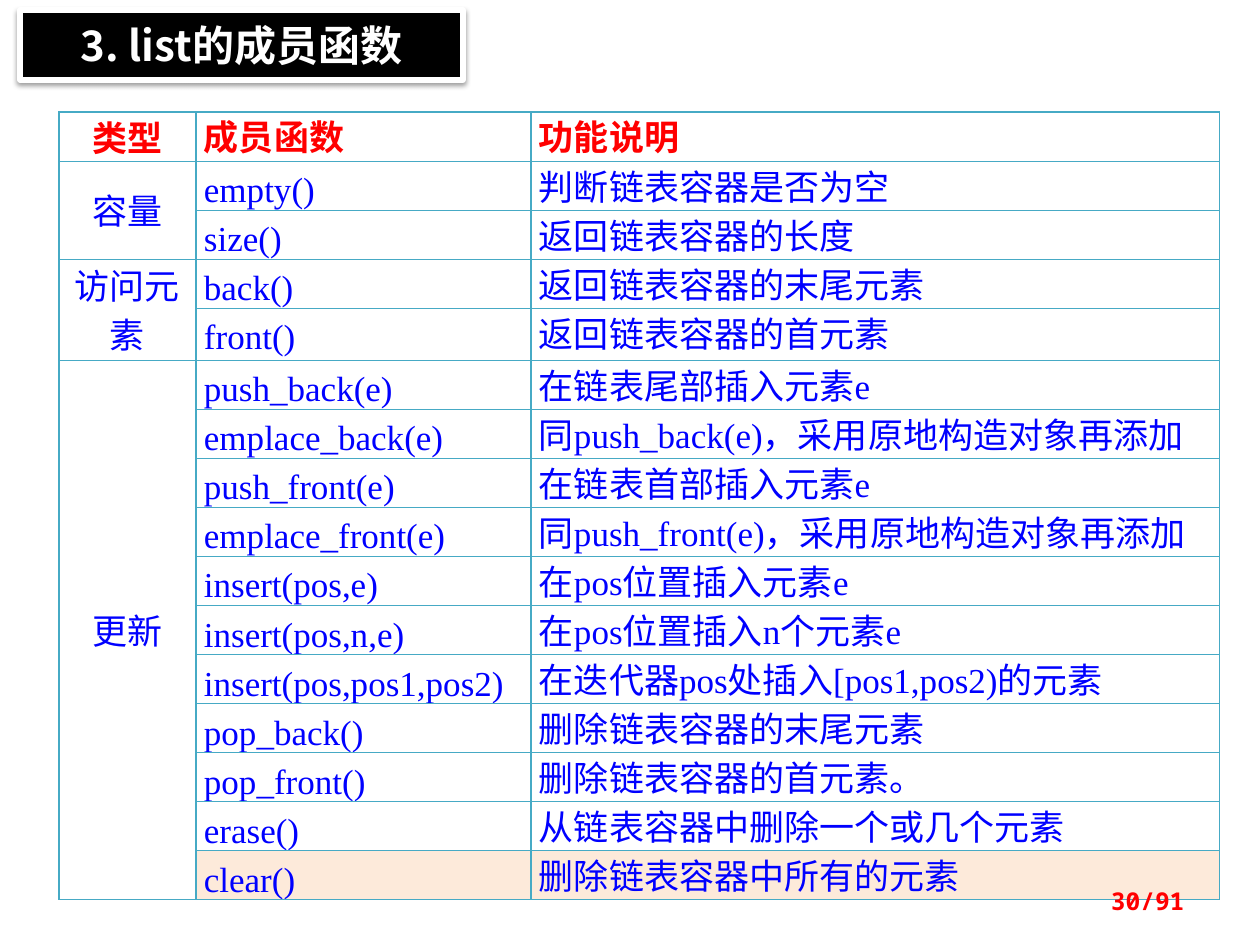
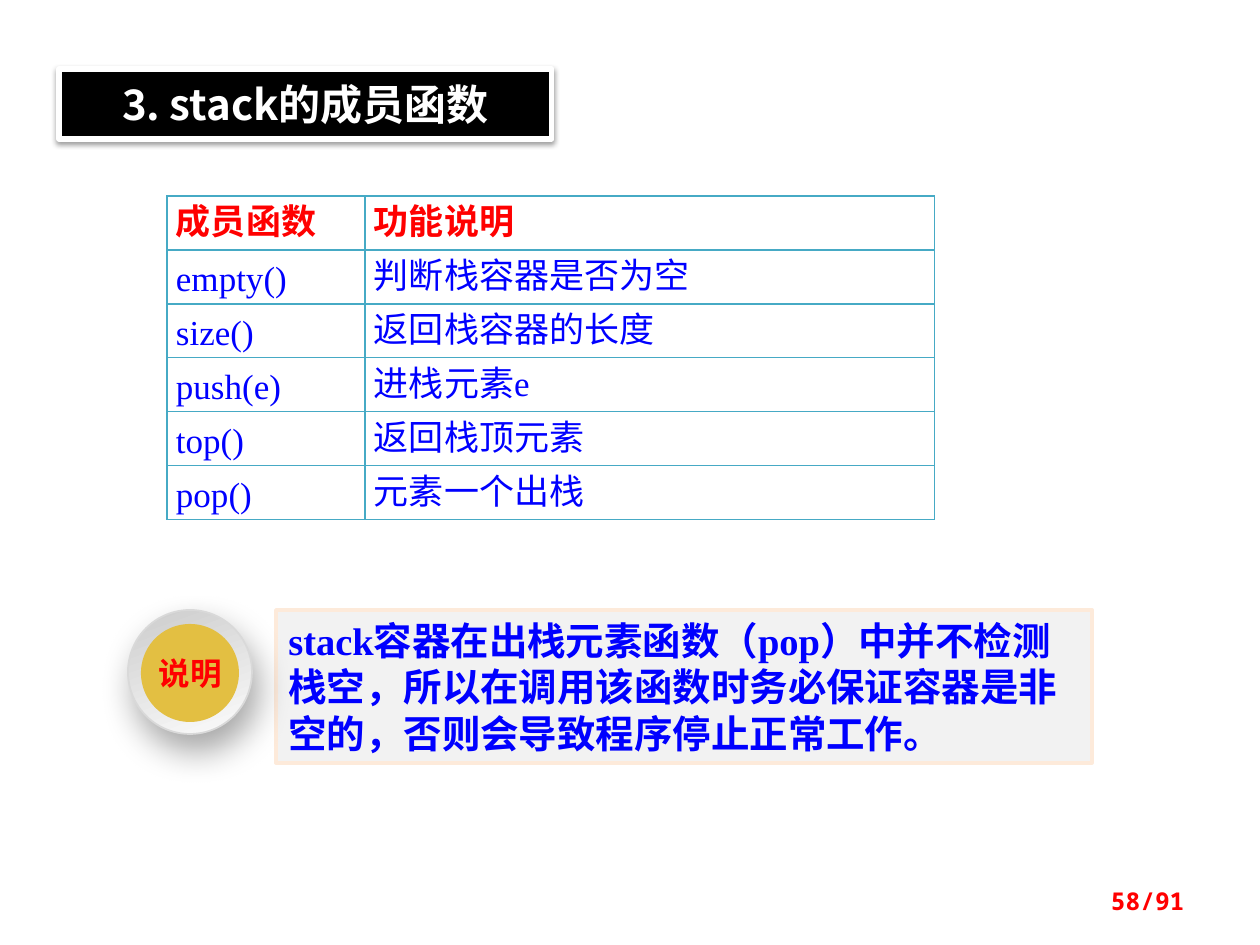
from lxml import etree
from pptx import Presentation
from pptx import util as u
from pptx.dml.color import RGBColor
from pptx.enum import shapes, text
from pptx.oxml.ns import qn

U = 7257  # EMU per px, 126 px to the inch
BLACK = RGBColor(0, 0, 0)
WHITE = RGBColor(255, 255, 255)
RED = RGBColor(255, 0, 0)
BLUE = RGBColor(0, 0, 255)
TEAL = RGBColor(0x46, 0xAA, 0xC5)
PEACH = RGBColor(0xFD, 0xEA, 0xDA)
PALE = RGBColor(0xF2, 0xF2, 0xF2)
GOLD = RGBColor(0xE3, 0xBF, 0x42)
SILVER = RGBColor(0xD9, 0xD9, 0xD9)
DARK = RGBColor(0xCC, 0xCC, 0xCC)
LIGHT = RGBColor(0xFC, 0xFC, 0xFC)
SANS, SERIF, MONO = "Noto Sans CJK SC", "Times New Roman", "Noto Sans Mono"
ALIGN, MID = text.PP_ALIGN, text.MSO_ANCHOR.MIDDLE
KIND = shapes.MSO_SHAPE


def write(frame, words, size, face, color, align, bold=True):
    para = frame.paragraphs[0]
    para.alignment = align
    run = para.add_run()
    run.text = words
    font = run.font
    font.size, font.name, font.bold = u.Pt(size), face, bold
    font.color.rgb = color
    etree.SubElement(run._r.rPr, qn("a:ea"), typeface=SANS)
    return para


def draw(home, kind, place, fill, line=None, width=0, shade=None):
    shape = home.add_shape(kind, *[n * U for n in place])
    if fill:
        shape.fill.solid()
        shape.fill.fore_color.rgb = fill
    if line:
        shape.line.color.rgb = line
        shape.line.width = u.Pt(width)
    else:
        shape.line.fill.background()
    shape.shadow.inherit = False
    if shade:
        blur, dist, angle, alpha = shade
        glow = etree.SubElement(
            shape._element.spPr.find(qn("a:effectLst")), qn("a:outerShdw"),
            blurRad=str(u.Pt(blur)), dist=str(u.Pt(dist)),
            dir=str(angle * 60000), algn="t", rotWithShape="0")
        tone = etree.SubElement(glow, qn("a:srgbClr"), val=str(BLACK))
        etree.SubElement(tone, qn("a:alpha"), val=str(alpha * 1000))
    return shape


# Table contents; an empty type continues the merged cell above
LIST = [
    ("类型", "成员函数", "功能说明"),
    ("容量", "empty()", "判断链表容器是否为空"),
    ("", "size()", "返回链表容器的长度"),
    ("访问元素", "back()", "返回链表容器的末尾元素"),
    ("", "front()", "返回链表容器的首元素"),
    ("更新", "push_back(e)", "在链表尾部插入元素e"),
    ("", "emplace_back(e)", "同push_back(e)，采用原地构造对象再添加"),
    ("", "push_front(e)", "在链表首部插入元素e"),
    ("", "emplace_front(e)", "同push_front(e)，采用原地构造对象再添加"),
    ("", "insert(pos,e)", "在pos位置插入元素e"),
    ("", "insert(pos,n,e)", "在pos位置插入n个元素e"),
    ("", "insert(pos,pos1,pos2)", "在迭代器pos处插入[pos1,pos2)的元素"),
    ("", "pop_back()", "删除链表容器的末尾元素"),
    ("", "pop_front()", "删除链表容器的首元素。"),
    ("", "erase()", "从链表容器中删除一个或几个元素"),
    ("", "clear()", "删除链表容器中所有的元素"),
]
STACK = [
    ("成员函数", "功能说明"),
    ("empty()", "判断栈容器是否为空"),
    ("size()", "返回栈容器的长度"),
    ("push(e)", "进栈元素e"),
    ("top()", "返回栈顶元素"),
    ("pop()", "元素一个出栈"),
]

# Title, title place, page, rows, table corner, column widths,
# row height, taller rows, side inset, merged spans, tinted cells
PAGES = [
    ("3. list的成员函数", (20, 10, 443, 70), "30/91", LIST, (59, 112),
     (137, 335, 689), 49, {4: 52}, 8, [(1, 2), (3, 4), (5, 15)],
     [(15, 1), (15, 2)]),
    ("3. stack的成员函数", (59, 69, 493, 70), "58/91", STACK, (167, 196),
     (198, 570), 54, {}, 9, [], []),
]

prs = Presentation()
prs.slide_width, prs.slide_height = u.Inches(10), u.Inches(7.5)

for (title, place, page, rows, corner, cols, high, tall, inset, spans,
     tints) in PAGES:
    slide = prs.slides.add_slide(prs.slide_layouts[6])

    # Title band
    band = draw(slide.shapes, KIND.RECTANGLE, place, BLACK, WHITE, 3,
                (3.1, 1.6, 90, 38))
    write(band.text_frame, title, 24, SANS, WHITE, ALIGN.CENTER)

    # Function table
    size = (sum(cols), high * len(rows))
    table = slide.shapes.add_table(
        len(rows), len(cols), *[n * U for n in corner + size]).table
    for c, wide in enumerate(cols):
        table.columns[c].width = wide * U
    for r, row in enumerate(rows):
        table.rows[r].height = tall.get(r, high) * U
        for c, words in enumerate(row):
            cell = table.cell(r, c)
            cell.margin_left = cell.margin_right = inset * U
            cell.margin_top = cell.margin_bottom = 0
            for side in ("a:lnL", "a:lnR", "a:lnT", "a:lnB"):
                edge = etree.SubElement(cell._tc.get_or_add_tcPr(), qn(side),
                                        w=str(u.Pt(0.75)))
                solid = etree.SubElement(edge, qn("a:solidFill"))
                etree.SubElement(solid, qn("a:srgbClr"), val=str(TEAL))
            cell.fill.solid()
            cell.fill.fore_color.rgb = PEACH if (r, c) in tints else WHITE
            kind = len(cols) == 3 and c == 0
            if kind:
                cell.vertical_anchor = MID
            if words:
                para = write(cell.text_frame, words, 20, SERIF,
                             BLUE if r else RED,
                             ALIGN.CENTER if kind else ALIGN.JUSTIFY, r == 0)
                para.line_spacing = u.Pt(28)
    for top, end in spans:
        table.cell(top, 0).merge(table.cell(end, 0))

    # Page number
    foot = slide.shapes.add_textbox(903 * U, 876 * U, 294 * U, 50 * U)
    foot.text_frame.word_wrap = True
    foot.text_frame.vertical_anchor = MID
    write(foot.text_frame, page, 14, MONO, RED, ALIGN.RIGHT)

# Note on the stack slide
note = draw(slide.shapes, KIND.RECTANGLE, (276, 610, 816, 153), PALE, PEACH, 2)
note.text_frame.word_wrap = True
write(note.text_frame,
      "stack容器在出栈元素函数（pop）中并不检测栈空，所以在调用该函数时"
      "务必保证容器是非空的，否则会导致程序停止正常工作。",
      22, SERIF, BLUE, ALIGN.LEFT)

# Round badge beside the note
badge = slide.shapes.add_group_shape().shapes
ring = draw(badge, KIND.OVAL, (128, 610, 124, 124), None, SILVER, 1,
            (20, 10, 70, 34))
ring.fill.gradient()
ring.fill.gradient_angle = 290
for stop, tone, spot in zip(ring.fill.gradient_stops, (DARK, LIGHT), (0, 1)):
    stop.color.rgb = tone
    stop.position = spot
draw(badge, KIND.OVAL, (141, 624, 98, 98), GOLD)
label = badge.add_textbox(146 * U, 655 * U, 89 * U, 43 * U)
label.text_frame.word_wrap = False
para = write(label.text_frame, "说明", 18, SANS, RED, ALIGN.CENTER)
para.line_spacing = 0.8

prs.save("out.pptx")
